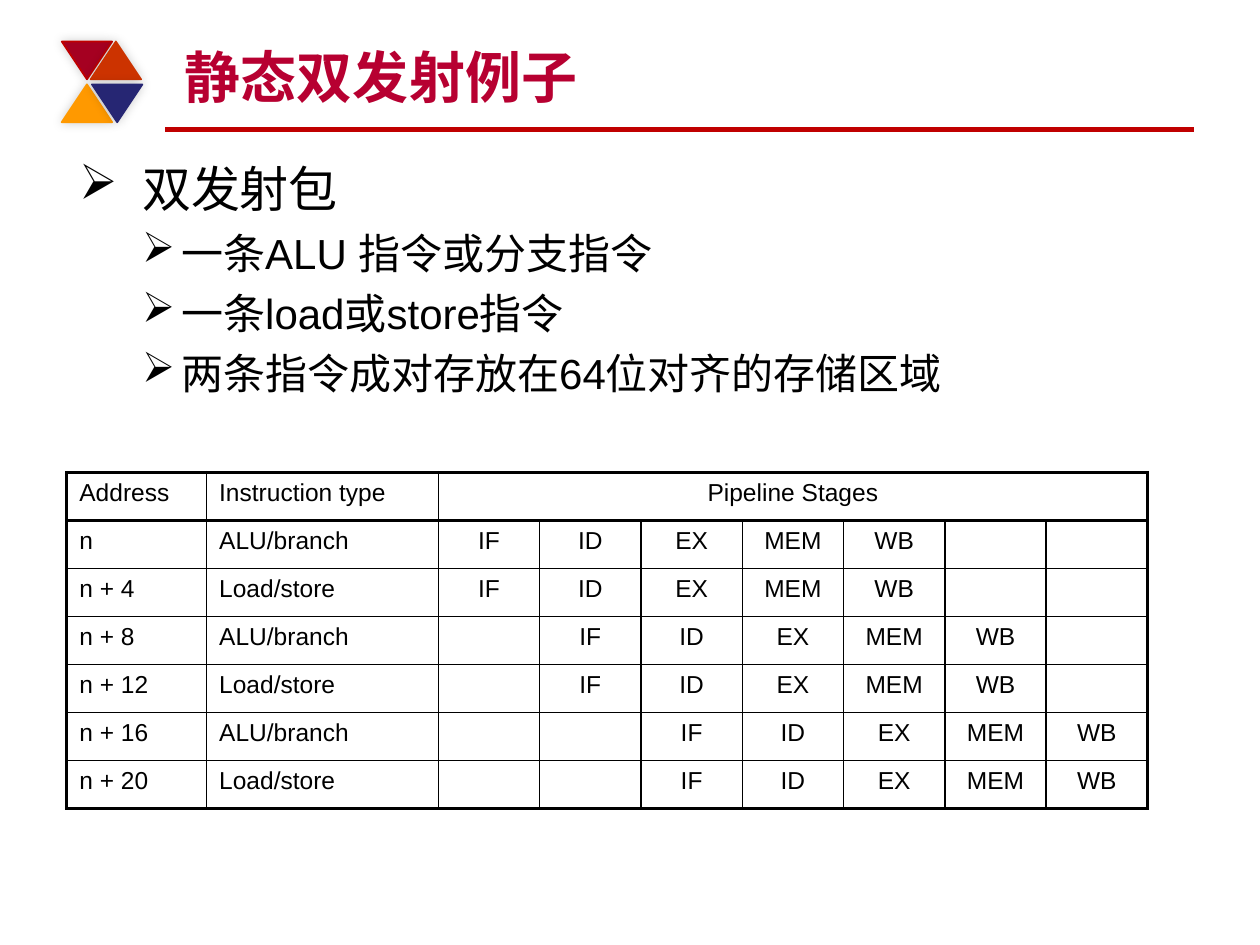
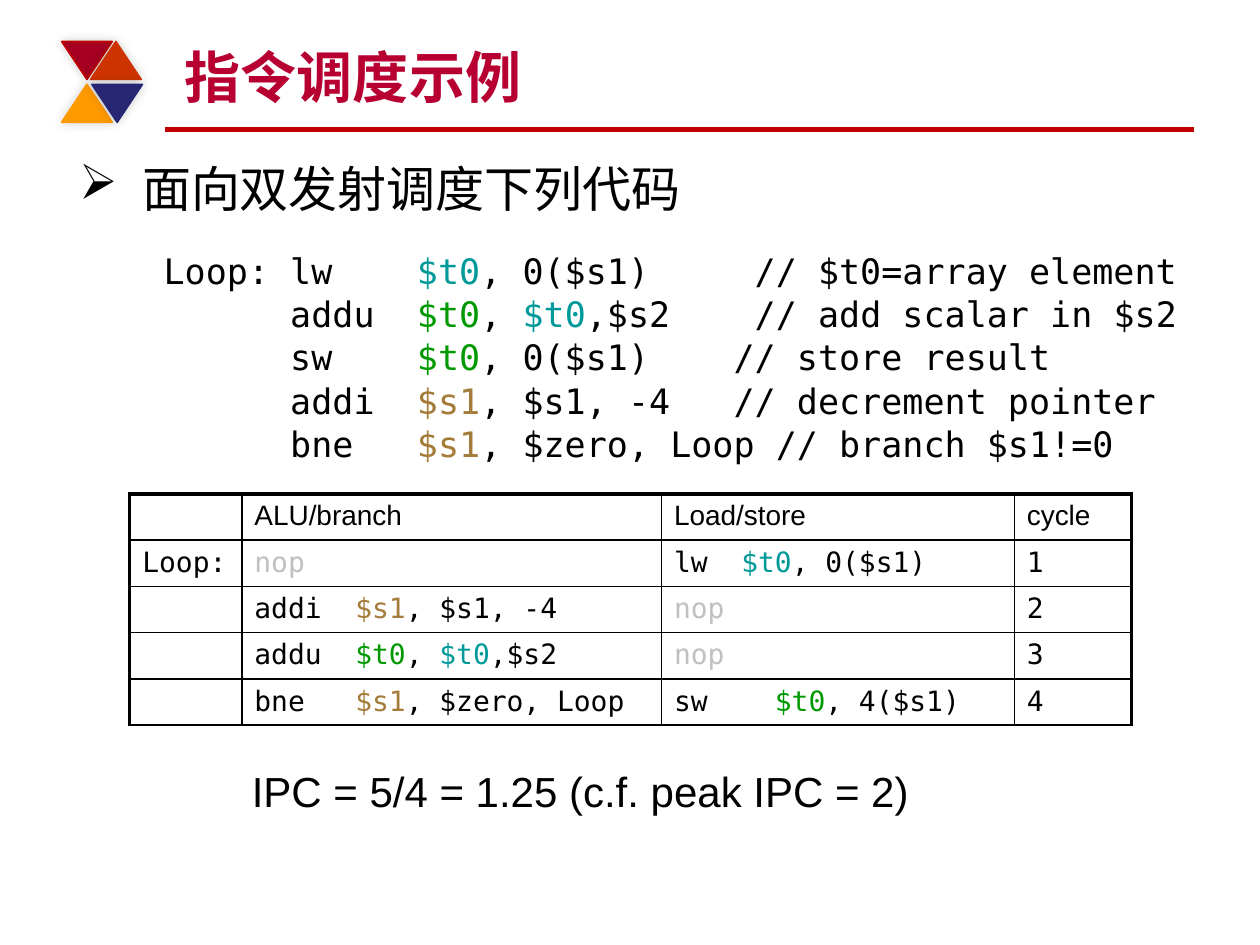
from lxml import etree
from pptx import Presentation
from pptx import util as u
from pptx.dml.color import RGBColor
from pptx.enum import shapes, text
from pptx.oxml.ns import qn

PX = 9144  # one px is a hundredth of an inch
SANS, MONO = "Arial", "DejaVu Sans Mono"
BLACK, RED, CRIMSON = "000000", "C00000", "B70031"
# Marked text: ~t$t0~ gives $t0 in the colour with key t
TINTS = {"t": "009999", "g": "009900", "b": "A47B38", "n": "C0C0C0"}
THIN, MID, THICK = 1, 1.5, 2.25


def px(n):
    return u.Emu(round(n * PX))


def color(code):
    return RGBColor.from_string(code)


def node(parent, tag, **attrs):
    return etree.SubElement(parent, qn(tag), attrs)


class Deck:
    def __init__(self):
        self.prs = Presentation()
        self.prs.slide_width, self.prs.slide_height = px(1000), px(750)
        self.slide = None

    # Slide frame: emblem, rule and title
    def page(self, title):
        self.slide = self.prs.slides.add_slide(self.prs.slide_layouts[6])
        self.line(131, 103, 948, 103, RED, 3)
        self.wedge(49, 33, "A50021", RED, 180)
        self.wedge(72, 33, "CC3300", "CC3300")
        self.wedge(49, 67, "FF9900", "FF9900")
        self.wedge(73, 67, "262673", "262673", 180)
        frame = self.box(137, 25, 800, 67)
        frame.vertical_anchor = text.MSO_ANCHOR.BOTTOM
        self.label(frame.paragraphs[0], title, 32, tint=CRIMSON, bold=True)

    def line(self, x1, y1, x2, y2, tint, width):
        rule = self.slide.shapes.add_connector(
            shapes.MSO_CONNECTOR.STRAIGHT, px(x1), px(y1), px(x2), px(y2))
        rule.line.color.rgb = color(tint)
        rule.line.width = u.Pt(width)
        node(rule._element.spPr, "a:effectLst")

    def wedge(self, x, y, fill, edge, turn=0):
        shape = self.slide.shapes.add_shape(
            shapes.MSO_SHAPE.ISOSCELES_TRIANGLE, px(x), px(y), px(40), px(30))
        shape.rotation = turn
        shape.fill.solid()
        shape.fill.fore_color.rgb = color(fill)
        shape.line.color.rgb = color(edge)
        shape.line.width = u.Pt(1)
        shape.shadow.inherit = False
        glow = node(shape._element.spPr.find(qn("a:effectLst")), "a:outerShdw",
                    blurRad="76200", dist="0", dir="18900000")
        node(node(glow, "a:srgbClr", val=BLACK), "a:alpha", val="20000")

    # Text
    def box(self, x, y, w, h, wrap=True):
        frame = self.slide.shapes.add_textbox(px(x), px(y), px(w), px(h)).text_frame
        frame.word_wrap = wrap
        return frame

    def label(self, para, marked, size, face=SANS, tint=BLACK, bold=False):
        for i, part in enumerate(marked.split("~")):
            shade = tint
            if i % 2:
                shade, part = TINTS[part[0]], part[1:]
            for j, piece in enumerate(part.split("\n")):
                if j:
                    para.add_line_break()
                if piece:
                    run = para.add_run()
                    run.text = piece
                    run.font.name, run.font.size = face, u.Pt(size)
                    run.font.bold = bold
                    run.font.color.rgb = color(shade)
        if not marked:
            node(para._p, "a:endParaRPr", sz=str(size * 100))

    def indent(self, para, left, first=0):
        props = para._p.get_or_add_pPr()
        props.set("marL", str(px(left)))
        props.set("indent", str(px(first)))
        return props

    def bullets(self, height, head, items=()):
        frame = self.box(53, 121, 895, height)
        for i, item in enumerate([head, *items]):
            para = frame.add_paragraph() if i else frame.paragraphs[0]
            props = self.indent(para, 81, -31) if i else self.indent(para, 50, -50)
            node(props, "a:buChar", char="➢")
            if i:
                para.level = 1
                para.space_before = u.Pt(5.5)
            self.label(para, item, 24 if i else 28)

    def code(self, x, y, w, h, lines):
        frame = self.box(x, y, w, h, wrap=False)
        frame.auto_size = text.MSO_AUTO_SIZE.SHAPE_TO_FIT_TEXT
        para = frame.paragraphs[0]
        para.line_spacing = 1.03
        self.label(para, "\n".join(lines), 20, MONO)

    def note(self, x, y, w, h, words):
        para = self.box(x, y, w, h).paragraphs[0]
        self.indent(para, 50)
        self.label(para, words, 24)

    # Table: thick frame, medium rule under the head row
    def table(self, x, y, h, cols, rows, size, face=SANS, center=None,
              base=THIN, span=None):
        grid = self.slide.shapes.add_table(
            len(rows), len(cols), px(x), px(y), px(sum(cols)), px(h)).table
        grid.first_row = grid.horz_banding = False
        for col, width in zip(grid.columns, cols):
            col.width = px(width)
        for row in grid.rows:
            row.height = px(h / len(rows))
        if span:
            grid.cell(0, span[0]).merge(grid.cell(0, span[1]))
        for r, row in enumerate(rows):
            for c, words in enumerate(row):
                cell = grid.cell(r, c)
                para = cell.text_frame.paragraphs[0]
                if center is not None and c >= center:
                    para.alignment = text.PP_ALIGN.CENTER
                self.label(para, words, size, face if r else SANS)
                end = c + cell.span_width == len(cols)
                last = r == len(rows) - 1
                self.edges(cell, {
                    "L": THIN if c else THICK,
                    "R": THICK if end else THIN,
                    "T": {0: THICK, 1: MID}.get(r, THIN),
                    "B": base if last else THIN if r else MID})
                cell.fill.background()

    def edges(self, cell, widths):
        props = cell._tc.get_or_add_tcPr()
        for side, width in widths.items():
            edge = node(props, "a:ln" + side, w=str(u.Pt(width)))
            node(node(edge, "a:solidFill"), "a:srgbClr", val=BLACK)


def main():
    deck = Deck()

    # Dual issue example
    deck.page("静态双发射例子")
    deck.bullets(595, "双发射包", [
        "一条ALU 指令或分支指令",
        "一条load或store指令",
        "两条指令成对存放在64位对齐的存储区域"])
    stages = ["IF", "ID", "EX", "MEM", "WB"]
    rows = [["Address", "Instruction type", "Pipeline Stages"] + [""] * 6]
    for i in range(6):
        wait = i // 2  # each pair starts one cycle later
        rows.append([f"n + {4 * i}" if i else "n",
                     "Load/store" if i % 2 else "ALU/branch",
                     *[""] * wait, *stages, *[""] * (2 - wait)])
    deck.table(53, 375, 267, [111, 184] + [563 / 7] * 7, rows, 14,
               center=2, base=THICK, span=(2, 8))

    # Scheduling example
    deck.page("指令调度示例")
    deck.bullets(87, "面向双发射调度下列代码")
    deck.code(120, 192, 828, 178, [
        "Loop: lw    ~t$t0~, 0($s1)     // $t0=array element",
        "      addu  ~g$t0~, ~t$t0~,$s2    // add scalar in $s2",
        "      sw    ~g$t0~, 0($s1)    // store result",
        "      addi  ~b$s1~, $s1, -4   // decrement pointer",
        "      bne   ~b$s1~, $zero, Loop // branch $s1!=0"])
    deck.table(103, 392, 183, [89, 333, 280, 93], [
        ["", "ALU/branch", "Load/store", "cycle"],
        ["Loop:", "~nnop~", "lw  ~t$t0~, 0($s1)", "1"],
        ["", "addi  ~b$s1~, $s1, -4", "~nnop~", "2"],
        ["", "addu  ~g$t0~, ~t$t0~,$s2", "~nnop~", "3"],
        ["", "bne   ~b$s1~, $zero, Loop", "sw    ~g$t0~, 4($s1)", "4"],
    ], 16, MONO)
    deck.note(140, 603, 701, 51, "IPC = 5/4 = 1.25 (c.f. peak IPC = 2)")

    deck.prs.save("out.pptx")


if __name__ == "__main__":
    main()
